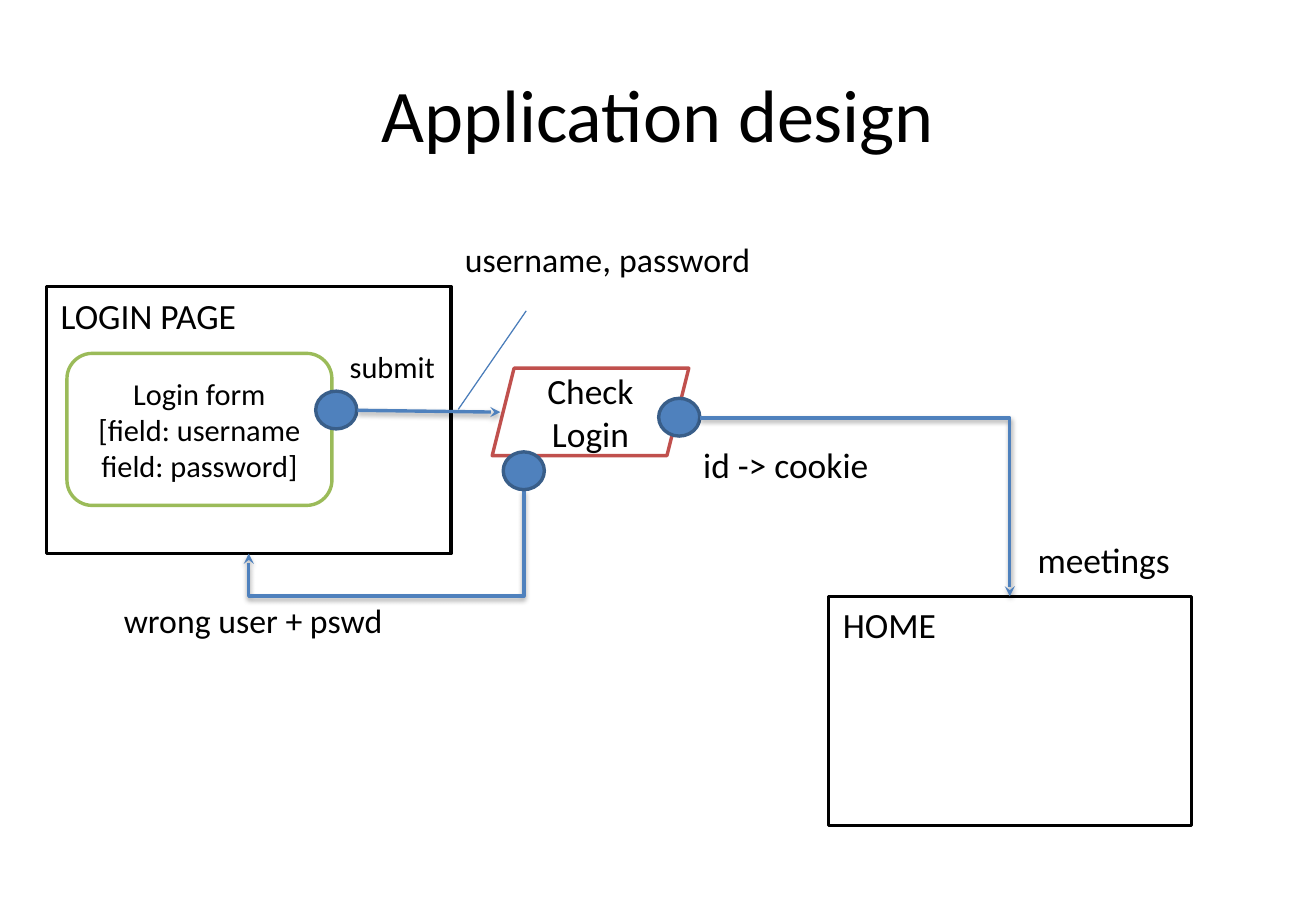
from dataclasses import dataclass

import lxml.etree
import pptx
import pptx.dml.color
import pptx.enum.shapes
import pptx.enum.text
import pptx.oxml
import pptx.oxml.ns
import pptx.shapes.autoshape
import pptx.shapes.connector
import pptx.slide
import pptx.text.text
import pptx.util

Cm = pptx.util.Cm
Pt = pptx.util.Pt
PRESET = pptx.enum.shapes.MSO_SHAPE
ALIGN = pptx.enum.text.PP_ALIGN
ANCHOR = pptx.enum.text.MSO_ANCHOR
qn = pptx.oxml.ns.qn

COLORS = {
    "ink": "000000", "paper": "FFFFFF", "form": "9BBB59", "action": "C0504D",
    "event": "4F81BD", "event_edge": "395E89", "callout": "4A7DBA",
}
FRAME_FORMAT = {
    "margin_left": Cm(0.3), "margin_right": Cm(0.3),
    "margin_top": Cm(0.15), "margin_bottom": Cm(0.15), "word_wrap": True,
}
SHADOW = (
    f'<a:effectLst {pptx.oxml.ns.nsdecls("a")}>'
    '<a:outerShdw blurRad="40000" dist="20000" dir="5400000" rotWithShape="0">'
    '<a:srgbClr val="000000"><a:alpha val="38000"/></a:srgbClr>'
    "</a:outerShdw></a:effectLst>"
)


@dataclass(frozen=True)
class Node:
    left: float
    top: float
    width: float
    height: float
    text: str = ""
    size: int = 21
    preset: PRESET = PRESET.RECTANGLE
    fill: str = "paper"
    edge: str = "ink"
    centered: bool = False


@dataclass(frozen=True)
class Label:
    left: float
    top: float
    width: float
    runs: tuple[tuple[str, int], ...]
    fill: str = ""
    height: float = 1.02


@dataclass(frozen=True)
class Link:
    begin: tuple[float, float]
    end: tuple[float, float]
    preset: str = "line"
    color: str = "event"
    width: float = 2
    arrow: bool = True
    quarter_turn: bool = False
    bend: int = 0


def event(left: float, top: float) -> Node:
    return Node(left, top, 0.86, 0.79, preset=PRESET.OVAL, fill="event", edge="event_edge")


DIAGRAM = [
    Node(0.97, 5.99, 8.46, 5.59, "LOGIN PAGE"),
    Node(1.4, 7.39, 5.54, 3.18, "Login form\v[field: username\nfield: password]", 18,
         PRESET.ROUNDED_RECTANGLE, edge="form", centered=True),
    Node(17.32, 12.47, 7.59, 4.8, "HOME"),
    event(6.6, 8.18),
    Label(7.01, 7.14, 2.51, (("submit", 18),)),
    Link((10.95, 10.24), (5.2, 11.58), "bentConnector3", quarter_turn=True, bend=166200),
    Label(2.29, 12.4, 7.49, (("wrong user + pswd", 20),)),
    Label(9.42, 4.8, 6.58, (("username", 20), (", ", 21), ("password", 20)), "paper", 1.14),
    Link((11, 6.5), (9.58, 8.56), color="callout", width=0.75, arrow=False),
    Node(10.29, 7.7, 4.11, 1.83, "Check\vLogin", preset=PRESET.PARALLELOGRAM,
         edge="action", centered=True),
    Link((7.47, 8.58), (10.46, 8.62)),
    event(13.77, 8.33),
    event(10.52, 9.45),
    Label(14.4, 9.12, 5.41, (("id -> cookie", 21),)),
    Link((14.63, 8.74), (21.11, 12.47), "bentConnector2"),
    Label(21.39, 11.1, 4.67, (("meetings", 21),)),
]


def rgb(name: str) -> pptx.dml.color.RGBColor:
    return pptx.dml.color.RGBColor.from_string(COLORS[name])


def apply_format(target: object, values: dict[str, object]) -> None:
    for name, value in values.items():
        setattr(target, name, value)


def format_run(run: pptx.text.text._Run, size: int) -> None:
    apply_format(run.font, {"name": "Calibri", "size": Pt(size)})
    run.font.color.rgb = rgb("ink")


def draw_title(slide: pptx.slide.Slide) -> None:
    title = slide.shapes.title
    apply_format(title, {"left": Cm(1.37), "top": Cm(0.76),
                         "width": Cm(24.77), "height": Cm(3.18)})
    frame = title.text_frame
    frame.text = "Application design"
    apply_format(frame, FRAME_FORMAT | {"vertical_anchor": ANCHOR.MIDDLE})
    frame.paragraphs[0].alignment = ALIGN.CENTER
    format_run(frame.paragraphs[0].runs[0], 44)


def draw_node(slide: pptx.slide.Slide, node: Node) -> None:
    box = (Cm(node.left), Cm(node.top), Cm(node.width), Cm(node.height))
    shape = slide.shapes.add_shape(node.preset, *box)
    shape.shadow.inherit = False
    shape.fill.solid()
    shape.fill.fore_color.rgb = rgb(node.fill)
    shape.line.color.rgb = rgb(node.edge)
    shape.line.width = Pt(2)
    if not node.text:
        return
    frame = shape.text_frame
    frame.text = node.text
    anchor = ANCHOR.MIDDLE if node.centered else ANCHOR.TOP
    apply_format(frame, FRAME_FORMAT | {"vertical_anchor": anchor})
    for paragraph in frame.paragraphs:
        paragraph.alignment = ALIGN.CENTER if node.centered else ALIGN.LEFT
        for run in paragraph.runs:
            format_run(run, node.size)


def draw_label(slide: pptx.slide.Slide, label: Label) -> None:
    box = (Cm(label.left), Cm(label.top), Cm(label.width), Cm(label.height))
    textbox = slide.shapes.add_textbox(*box)
    if label.fill:
        textbox.fill.solid()
        textbox.fill.fore_color.rgb = rgb(label.fill)
    apply_format(textbox.text_frame, FRAME_FORMAT)
    for text, size in label.runs:
        run = textbox.text_frame.paragraphs[0].add_run()
        run.text = text
        format_run(run, size)


def unturned_ends(link: Link) -> tuple[float, float, float, float]:
    """Give the ends of a quarter-turned link before its clockwise rotation."""
    (x1, y1), (x2, y2) = link.begin, link.end
    if not link.quarter_turn:
        return x1, y1, x2, y2
    middle_x, middle_y = (x1 + x2) / 2, (y1 + y2) / 2
    half_x, half_y = abs(x2 - x1) / 2, abs(y2 - y1) / 2
    return middle_x - half_y, middle_y - half_x, middle_x + half_y, middle_y + half_x


def draw_link(slide: pptx.slide.Slide, link: Link) -> None:
    ends = [Cm(value) for value in unturned_ends(link)]
    kinds = pptx.enum.shapes.MSO_CONNECTOR
    kind = kinds.STRAIGHT if link.preset == "line" else kinds.ELBOW
    connector = slide.shapes.add_connector(kind, *ends)
    connector.line.color.rgb = rgb(link.color)
    connector.line.width = Pt(link.width)
    properties = connector._element.spPr
    geometry = properties.find(qn("a:prstGeom"))
    geometry.set("prst", link.preset)
    if link.quarter_turn:
        properties.find(qn("a:xfrm")).set("rot", "5400000")
    if link.bend:
        lxml.etree.SubElement(geometry.find(qn("a:avLst")), qn("a:gd"),
                              name="adj1", fmla=f"val {link.bend}")
    if link.arrow:
        lxml.etree.SubElement(properties.find(qn("a:ln")), qn("a:tailEnd"), type="stealth")
        properties.append(pptx.oxml.parse_xml(SHADOW))
    else:
        lxml.etree.SubElement(properties, qn("a:effectLst"))


def main() -> None:
    deck = pptx.Presentation()
    apply_format(deck, {"slide_width": Cm(27.51), "slide_height": Cm(19.05)})
    slide = deck.slides.add_slide(deck.slide_layouts[5])
    draw_title(slide)
    painters = {Node: draw_node, Label: draw_label, Link: draw_link}
    for part in DIAGRAM:
        painters[type(part)](slide, part)
    deck.save("out.pptx")


if __name__ == "__main__":
    main()
